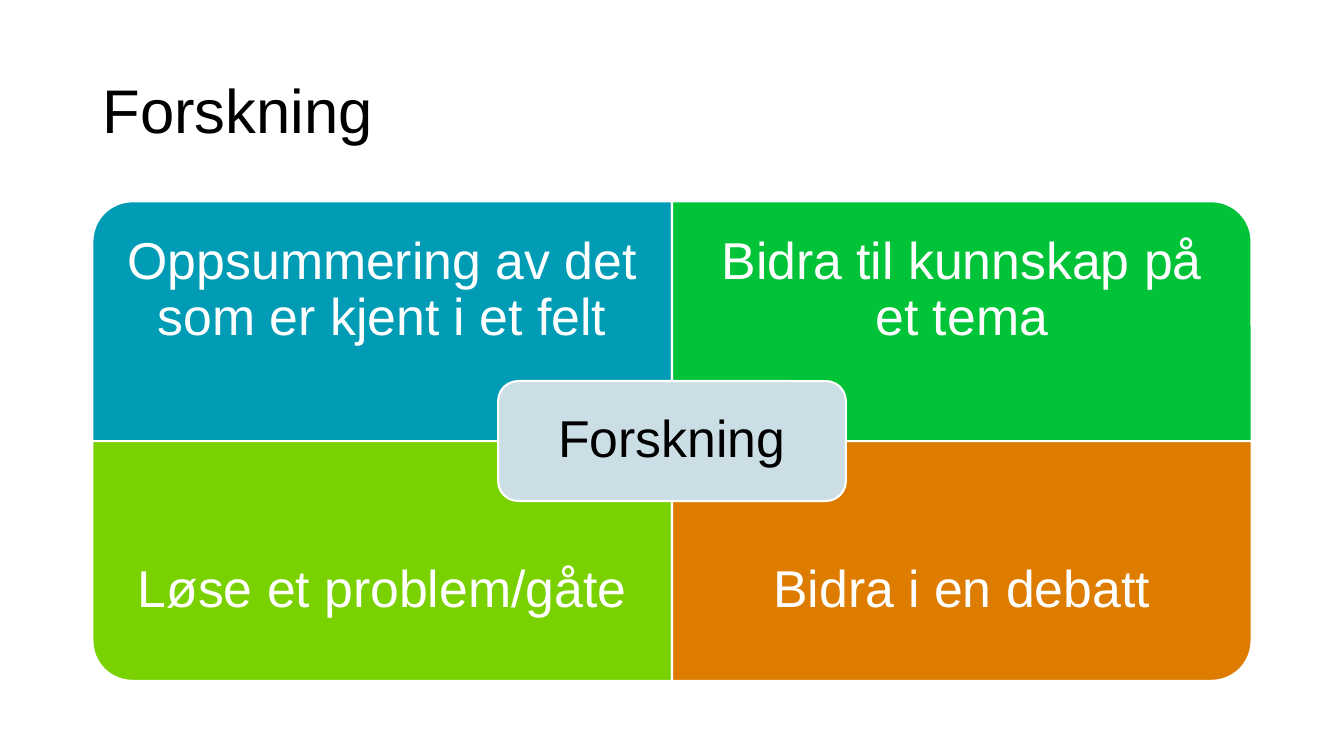
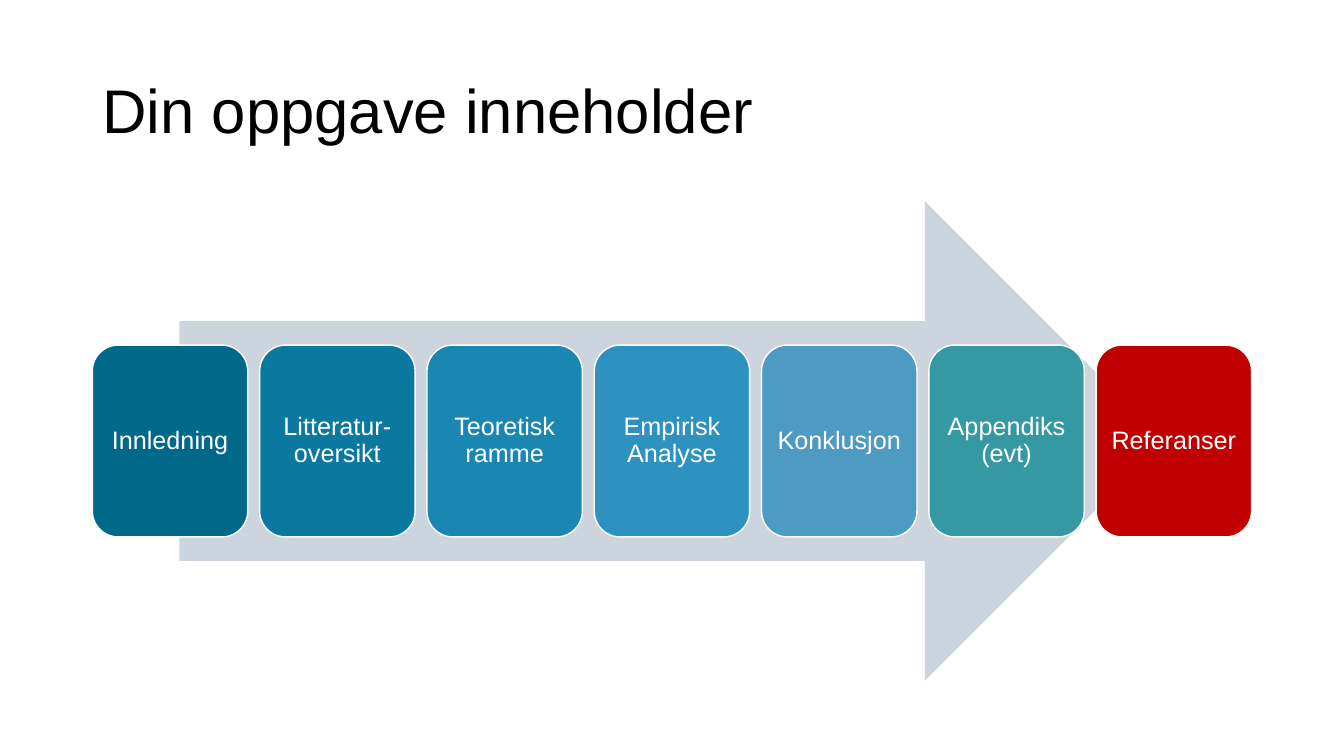
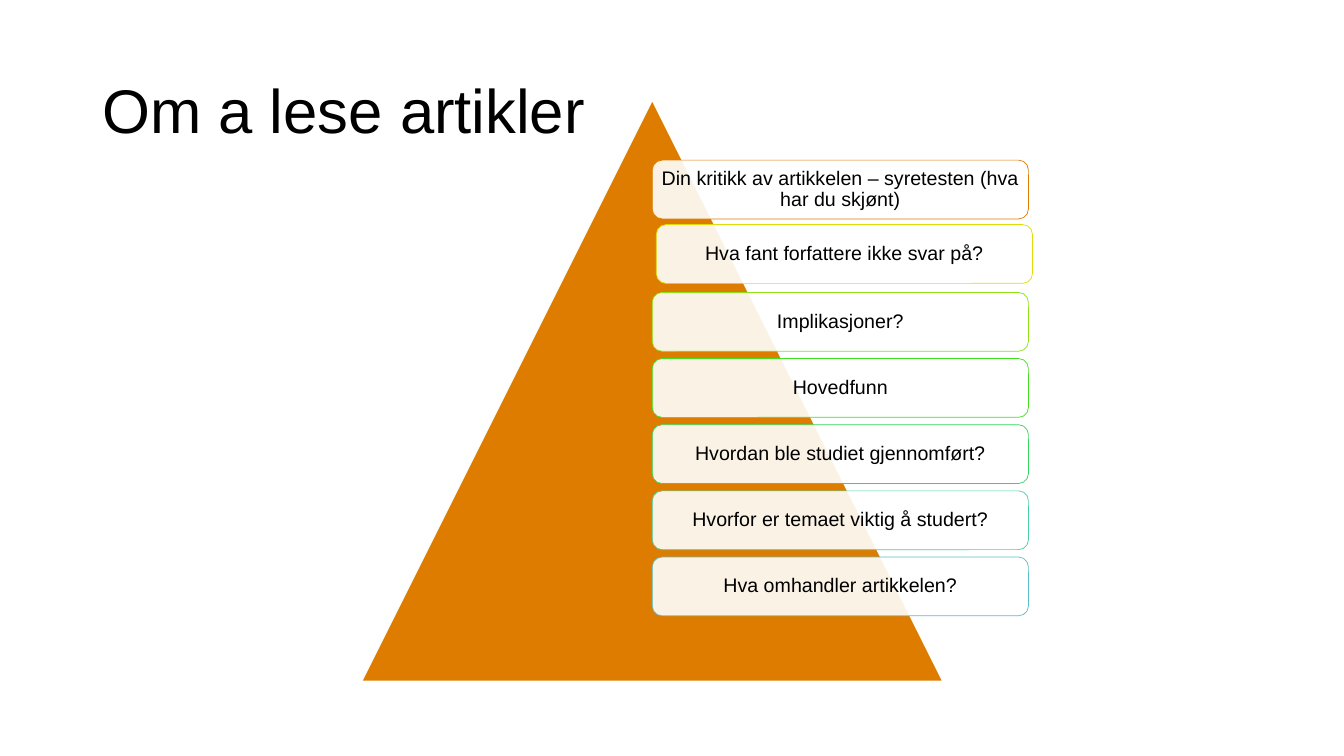
from dataclasses import dataclass
from typing import Optional

import lxml.etree
import pptx
import pptx.dml.color
import pptx.enum.shapes
import pptx.enum.text
import pptx.oxml.ns
import pptx.presentation
import pptx.shapes.autoshape
import pptx.slide
import pptx.text.text
import pptx.util

Pt = pptx.util.Pt
SHAPE = pptx.enum.shapes.MSO_SHAPE
ALIGN = pptx.enum.text.PP_ALIGN
ANCHOR = pptx.enum.text.MSO_ANCHOR
TITLE_ONLY = 5


@dataclass(frozen=True)
class Theme:
    font: str = "Arial"
    line_spacing: float = 0.9
    title_size: float = 44
    quadrant_size: float = 37
    step_size: float = 18
    card_size: float = 14
    ink: str = "000000"
    paper: str = "FFFFFF"
    orange: str = "DE7C00"
    hub: str = "CCDEE5"
    arrow: str = "CCD5DD"


@dataclass(frozen=True)
class Box:
    """A rectangle in points."""
    left: float
    top: float
    width: float
    height: float

    @property
    def mid_x(self) -> float:
        return self.left + self.width / 2

    @property
    def mid_y(self) -> float:
        return self.top + self.height / 2

    def centred(self, width: float, height: float) -> "Box":
        """A box of the given size around the same centre."""
        return Box(self.mid_x - width / 2, self.mid_y - height / 2, width, height)

    def emu(self) -> tuple[int, int, int, int]:
        return Pt(self.left), Pt(self.top), Pt(self.width), Pt(self.height)


@dataclass(frozen=True)
class Quadrant:
    text: str
    color: str
    column: int
    row: int
    rotation: int


@dataclass(frozen=True)
class Step:
    text: str
    color: str


@dataclass(frozen=True)
class Card:
    text: str
    color: str
    dx: float = 0
    dy: float = 0


THEME = Theme()
TITLE = Box(66, 28.75, 828, 104.4)
CONTENT = Box(66, 143.75, 828, 342.6)

QUADRANTS = (
    Quadrant("Oppsummering av det som er kjent i et felt", "009CB6", 0, 0, 270),
    Quadrant("Bidra til kunnskap på et tema", "00C337", 1, 0, 0),
    Quadrant("Løse et problem/gåte", "79D100", 0, 1, 180),
    Quadrant("Bidra i en debatt", THEME.orange, 1, 1, 90),
)
STEPS = (
    Step("Innledning", "006888"),
    Step("Litteratur-oversikt", "0B799F"),
    Step("Teoretisk ramme", "1A86B2"),
    Step("Empirisk Analyse", "2D92C0"),
    Step("Konklusjon", "4D9AC2"),
    Step("Appendiks (evt)", "3599A4"),
    Step("Referanser", "C00000"),
)
CARDS = (
    Card("Din kritikk av artikkelen – syretesten (hva har du skjønt)", THEME.orange),
    Card("Hva fant forfattere ikke svar på?", "E0DC0A", dx=2.9, dy=-1.2),
    Card("Implikasjoner?", "8EE114"),
    Card("Hovedfunn", "41E020"),
    Card("Hvordan ble studiet gjennomført?", "34D75D"),
    Card("Hvorfor er temaet viktig å studert?", "47D0A3"),
    Card("Hva omhandler artikkelen?", "59BEC9"),
)


def rgb(color: str) -> pptx.dml.color.RGBColor:
    return pptx.dml.color.RGBColor.from_string(color)


def write(frame: pptx.text.text.TextFrame, text: str, *, size: float,
          color: str = THEME.paper, align: ALIGN = ALIGN.CENTER,
          inset: Optional[float] = None) -> None:
    """Set one vertically centred paragraph; the inset follows the type size."""
    frame.word_wrap = True
    frame.vertical_anchor = ANCHOR.MIDDLE
    if inset is None:
        inset = 0.3 * size
    frame.margin_left = frame.margin_right = Pt(inset)
    frame.margin_top = frame.margin_bottom = Pt(inset)
    paragraph = frame.paragraphs[0]
    paragraph.alignment = align
    paragraph.line_spacing = THEME.line_spacing
    run = paragraph.add_run()
    run.text = text
    run.font.name = THEME.font
    run.font.size = Pt(size)
    run.font.color.rgb = rgb(color)


def draw(slide: pptx.slide.Slide, kind: SHAPE, box: Box, fill: str, *,
         line: Optional[str] = None, weight: float = 1,
         opacity: Optional[int] = None) -> pptx.shapes.autoshape.Shape:
    """Draw a preset shape; opacity is a percentage."""
    shape = slide.shapes.add_shape(kind, *box.emu())
    shape.shadow.inherit = False
    shape.fill.solid()
    shape.fill.fore_color.rgb = rgb(fill)
    if opacity is not None:
        qn = pptx.oxml.ns.qn
        fill_color = shape.element.spPr.find(f"{qn('a:solidFill')}/{qn('a:srgbClr')}")
        lxml.etree.SubElement(fill_color, qn("a:alpha"), val=str(opacity * 1000))
    if line is None:
        shape.line.fill.background()
    else:
        shape.line.color.rgb = rgb(line)
        shape.line.width = Pt(weight)
    return shape


def add_slide(deck: pptx.presentation.Presentation, title: str) -> pptx.slide.Slide:
    slide = deck.slides.add_slide(deck.slide_layouts[TITLE_ONLY])
    heading = slide.shapes.title
    heading.left, heading.top, heading.width, heading.height = TITLE.emu()
    write(heading.text_frame, title, size=THEME.title_size, color=THEME.ink,
          align=ALIGN.LEFT, inset=7.2)
    return slide


def add_research_matrix(deck: pptx.presentation.Presentation) -> None:
    slide = add_slide(deck, "Forskning")
    width, height = CONTENT.width / 2, CONTENT.height / 2
    label_height = 0.75 * height
    for quadrant in QUADRANTS:
        cell = Box(CONTENT.left + quadrant.column * width,
                   CONTENT.top + quadrant.row * height, width, height)
        sideways = quadrant.rotation % 180 != 0
        panel = draw(slide, SHAPE.ROUND_1_RECTANGLE,
                     cell.centred(height, width) if sideways else cell,
                     quadrant.color, line=THEME.paper, weight=1.5)
        panel.rotation = quadrant.rotation
        label_top = cell.top + quadrant.row * (height - label_height)
        label = slide.shapes.add_textbox(
            *Box(cell.left, label_top, width, label_height).emu())
        write(label.text_frame, quadrant.text, size=THEME.quadrant_size, inset=20.7)
    hub = draw(slide, SHAPE.ROUNDED_RECTANGLE, CONTENT.centred(0.6 * width, 0.5 * height),
               THEME.hub, line=THEME.paper, weight=1.5)
    write(hub.text_frame, "Forskning", size=THEME.quadrant_size, color=THEME.ink)


def add_paper_process(deck: pptx.presentation.Presentation) -> None:
    slide = add_slide(deck, "Din oppgave inneholder")
    draw(slide, SHAPE.RIGHT_ARROW,
         CONTENT.centred(0.85 * CONTENT.width, CONTENT.height), THEME.arrow)
    gap = 8.5
    width = (CONTENT.width - gap * (len(STEPS) - 1)) / len(STEPS)
    height = 0.4 * CONTENT.height
    for index, step in enumerate(STEPS):
        box = Box(CONTENT.left + index * (width + gap),
                  CONTENT.mid_y - height / 2, width, height)
        tile = draw(slide, SHAPE.ROUNDED_RECTANGLE, box, step.color, line=THEME.paper)
        write(tile.text_frame, step.text, size=THEME.step_size)


def add_reading_pyramid(deck: pptx.presentation.Presentation) -> None:
    slide = add_slide(deck, "Om a lese artikler")
    pyramid = Box(259.2, 72.8, 413.4, 413.4)
    draw(slide, SHAPE.ISOSCELES_TRIANGLE, pyramid, THEME.orange)
    first_top, height = 114.4, 42
    pitch = height * 1.125
    for index, card in enumerate(CARDS):
        box = Box(pyramid.mid_x + card.dx, first_top + index * pitch + card.dy,
                  0.65 * pyramid.width, height)
        question = draw(slide, SHAPE.ROUNDED_RECTANGLE, box, THEME.paper,
                        line=card.color, weight=0.5, opacity=90)
        write(question.text_frame, card.text, size=THEME.card_size, color=THEME.ink)


def main() -> None:
    deck = pptx.Presentation()
    deck.slide_width, deck.slide_height = Pt(960), Pt(540)
    add_research_matrix(deck)
    add_paper_process(deck)
    add_reading_pyramid(deck)
    deck.save("out.pptx")


if __name__ == "__main__":
    main()
